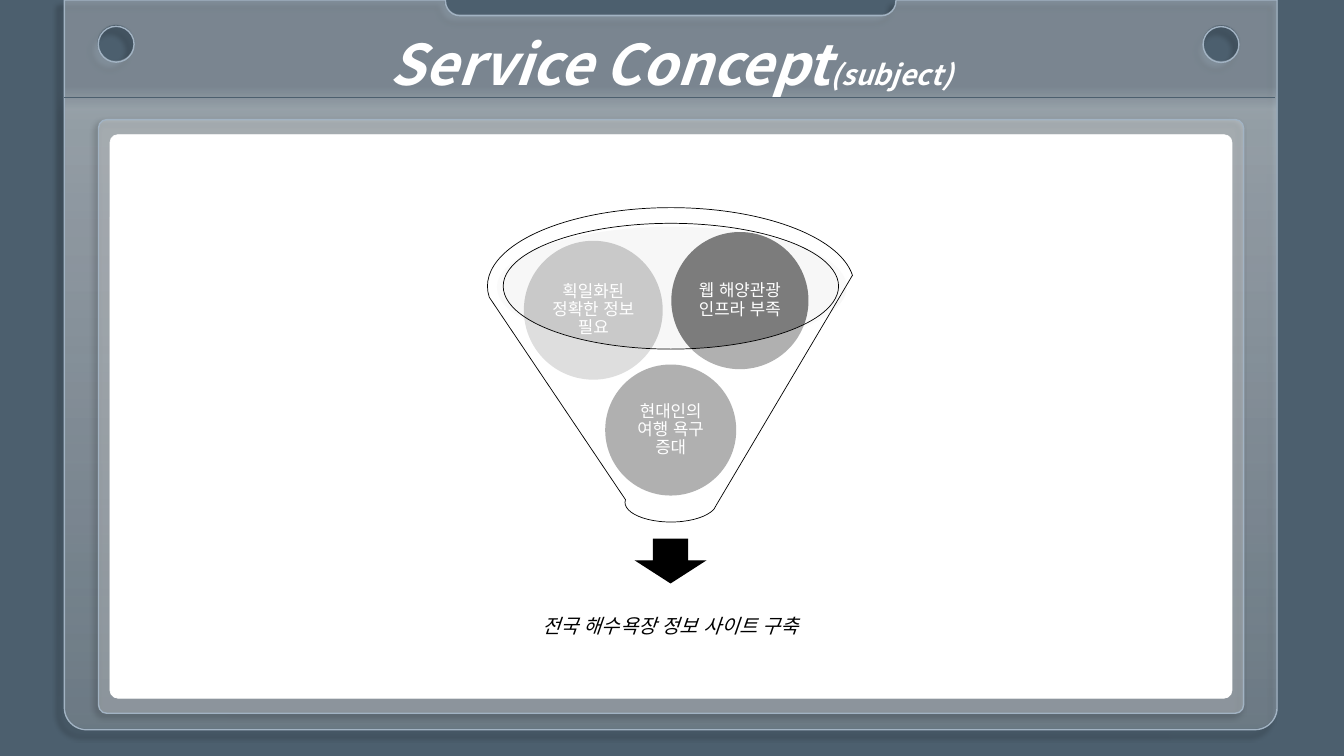
import pptx
import pptx.dml.color
import pptx.enum.lang
import pptx.enum.shapes
import pptx.enum.text
import pptx.oxml
import pptx.oxml.ns
import pptx.util

Pt = pptx.util.Pt
SHAPES = pptx.enum.shapes.MSO_SHAPE
FONT = "Noto Sans CJK KR"
COLORS = {
    "back": "4C5F6E", "edge": "A2B3C3", "sheen": "F7FAFD", "white": "FFFFFF",
    "black": "000000", "mouth": "EDEDED", "pale": "C9C9C9", "dark": "7C7C7C",
}


def color(name):
    """Return the RGB colour stored under a name."""
    return pptx.dml.color.RGBColor.from_string(COLORS[name])


def drawing(body, tag, attributes=""):
    """Return a DrawingML element with the given content."""
    namespace = pptx.oxml.ns.nsdecls("a")
    return pptx.oxml.parse_xml(f"<a:{tag} {namespace} {attributes}>{body}</a:{tag}>")


def shade(name, opacity):
    """Return the markup of a colour with an opacity in percent."""
    alpha = f'<a:alpha val="{opacity * 1000}"/>'
    return f'<a:srgbClr val="{COLORS[name]}">{alpha}</a:srgbClr>'


def find(shape, tag):
    """Return a direct child of the shape properties."""
    return shape._element.spPr.find(pptx.oxml.ns.qn(tag))


def paint(shape, fill, opacity=100, line=None, width=1):
    """Set fill, outline and no shadow on a shape."""
    shape.fill.solid()
    shape.fill.fore_color.rgb = color(fill)
    if opacity < 100:
        find(shape, "a:solidFill")[0].append(
            drawing("", "alpha", f'val="{opacity * 1000}"'))
    if line:
        shape.line.color.rgb = color(line)
        shape.line.width = Pt(width)
    else:
        shape.line.fill.background()
    shape.shadow.inherit = False


def cast_shadow(shape, distance):
    """Give a shape a soft shadow towards the lower left."""
    attributes = (f'blurRad="{Pt(4)}" dist="{Pt(distance)}" dir="8100000" '
                  'algn="tr" rotWithShape="0"')
    find(shape, "a:effectLst").append(
        drawing(shade("black", 40), "outerShdw", attributes))


def add_figure(shapes, kind, bounds, fill, **style):
    """Add a painted preset shape."""
    shape = shapes.add_shape(kind, *map(Pt, bounds))
    paint(shape, fill, **style)
    return shape


def add_panel(shapes, bounds, **style):
    """Add a white panel with slightly rounded corners."""
    panel = add_figure(shapes, SHAPES.ROUNDED_RECTANGLE, bounds, "white", **style)
    panel.adjustments[0] = 0.014
    return panel


def add_text(shapes, bounds, runs, ink, spacing, inset, italic=False, bold=False):
    """Add a box with one centred paragraph of (text, size) runs."""
    box = shapes.add_textbox(*map(Pt, bounds))
    frame = box.text_frame
    frame.word_wrap = True
    frame.vertical_anchor = pptx.enum.text.MSO_ANCHOR.MIDDLE
    frame.margin_left = frame.margin_right = Pt(inset)
    frame.margin_top = frame.margin_bottom = Pt(inset)
    para = frame.paragraphs[0]
    para.alignment = pptx.enum.text.PP_ALIGN.CENTER
    para.line_spacing = spacing
    for text, size in runs:
        span = para.add_run()
        span.text = text
        span.font.size = Pt(size)
        span.font.bold = bold
        span.font.italic = italic
        span.font.language_id = pptx.enum.lang.MSO_LANGUAGE_ID.KOREAN
        span.font.color.rgb = color(ink)
        span.font.name = FONT
        span._r.get_or_add_rPr().append(drawing("", "ea", f'typeface="{FONT}"'))
    return box


def hole(x, y, radius):
    """Return the contour of a round hole as four quarter arcs."""
    ends = [(x - radius, y), (x, y + radius), (x + radius, y), (x, y - radius)]
    arcs = [(*end, radius, 270 - 90 * turn, -90) for turn, end in enumerate(ends)]
    return [ends[-1]] + arcs


def add_contours(shapes, contours):
    """Add a freeform of (x, y) lines and (x, y, radius, start, swing) arcs."""
    builder = None
    for contour in contours:
        points = [(Pt(step[0]), Pt(step[1])) for step in contour]
        if builder is None:
            builder = shapes.build_freeform(*points[0])
        else:
            builder.move_to(*points[0])
        builder.add_line_segments(points[1:], close=True)
    shape = builder.convert_to_shape()
    segments = list(shape._element.iter(pptx.oxml.ns.qn("a:lnTo")))
    steps = [step for contour in contours for step in contour[1:]]
    for segment, step in zip(segments, steps):
        if len(step) > 2:
            radius, start, swing = step[2:]
            attributes = (f'wR="{Pt(radius)}" hR="{Pt(radius)}" '
                          f'stAng="{start * 60000}" swAng="{swing * 60000}"')
            segment.getparent().replace(segment, drawing("", "arcTo", attributes))
    return shape


def add_board(shapes):
    """Add the clipboard outline with its notch and two holes."""
    outline = [
        (46, 0), (318.2, 0), (318.2, 0.8), (328.6, 11.2, 10.4, 180, -90),
        (629.6, 11.2), (640, 0.8, 10.4, 90, -90), (640, 0), (912.2, 0),
        (912.2, 505.4), (896.4, 521.2, 15.8, 0, 90),
        (61.8, 521.2), (46, 505.4, 15.8, 90, 90),
    ]
    board = add_contours(shapes, [hole(872.2, 31.8, 12.8), hole(83, 31.6, 12.8), outline])
    paint(board, "white", line="edge")
    cast_shadow(board, 7)
    stops = [(12, "sheen", 30), (15, "sheen", 47), (100, "white", 20)]
    marks = "".join(f'<a:gs pos="{place * 1000}">{shade(name, opacity)}</a:gs>'
                    for place, name, opacity in stops)
    gradient = drawing(f'<a:gsLst>{marks}</a:gsLst><a:lin ang="5400000" scaled="0"/>',
                       "gradFill", 'rotWithShape="1"')
    board._element.spPr.replace(find(board, "a:solidFill"), gradient)


def add_rule(shapes):
    """Add the thin line under the header."""
    rule = shapes.add_connector(pptx.enum.shapes.MSO_CONNECTOR.STRAIGHT,
                                Pt(46), Pt(69.6), Pt(910.4), Pt(69.6))
    rule.line.color.rgb = color("back")
    rule.line.width = Pt(0.5)
    rule._element.spPr.append(drawing("", "effectLst"))


def add_title(shapes):
    """Add the slide title."""
    box = add_text(shapes, (265, -6.5, 429.1, 79.9),
                   [("Service Concept", 40), ("(subject)", 20)], "white", 1.5, 3.6,
                   italic=True, bold=True)
    frame = box.text_frame
    frame.margin_left = frame.margin_right = Pt(7.2)
    frame.vertical_anchor = pptx.enum.text.MSO_ANCHOR.TOP
    frame.auto_size = pptx.enum.text.MSO_AUTO_SIZE.SHAPE_TO_FIT_TEXT


def add_need(shapes, text, left, top, size, fill):
    """Add a ball with its label in the inscribed square."""
    add_figure(shapes, SHAPES.OVAL, (left, top, size, size), fill)
    gap, side = size * 0.146, size * 0.708
    add_text(shapes, (left + gap, top + gap, side, side), [(text, 12)], "white", 0.9, 1.4)


def add_funnel(shapes):
    """Add the funnel with its three needs and the outcome."""
    add_figure(shapes, SHAPES.OVAL, (355, 162, 249.8, 86.4), "mouth", opacity=40)
    arrow = add_figure(shapes, SHAPES.DOWN_ARROW, (454.9, 385.2, 48.2, 31), "black",
                       line="black")
    find(arrow, "a:ln").append(drawing("", "miter", 'lim="800000"'))
    add_text(shapes, (362.9, 419, 232.6, 58.3), [("전국 해수욕장 정보 사이트 구축", 14)],
             "black", 0.9, 7.9, italic=True)
    add_need(shapes, "현대인의 여행 욕구 증대", 432.3, 260.4, 93.6, "dark")
    add_need(shapes, "획일화된 정확한 정보 필요", 374.2, 172, 99.2, "pale")
    add_need(shapes, "웹 해양관광 인프라 부족", 479.5, 165.7, 98, "dark")
    add_figure(shapes, SHAPES.FUNNEL, (348.2, 148.3, 262, 224.6), "white",
               opacity=40, line="black", width=0.5)


def main():
    """Build the slide and save the deck."""
    deck = pptx.Presentation()
    deck.slide_width, deck.slide_height = Pt(960), Pt(540)
    page = deck.slides.add_slide(deck.slide_layouts[6])
    page.background.fill.solid()
    page.background.fill.fore_color.rgb = color("back")
    add_board(page.shapes)
    add_rule(page.shapes)
    frame = add_panel(page.shapes, (70.4, 85.4, 817.9, 424.1), opacity=28, line="edge")
    cast_shadow(frame, 3)
    add_panel(page.shapes, (78.6, 96.2, 801.4, 402.5), line="white", width=0.5)
    add_title(page.shapes)
    add_funnel(page.shapes.add_group_shape().shapes)
    deck.save("out.pptx")


if __name__ == "__main__":
    main()
